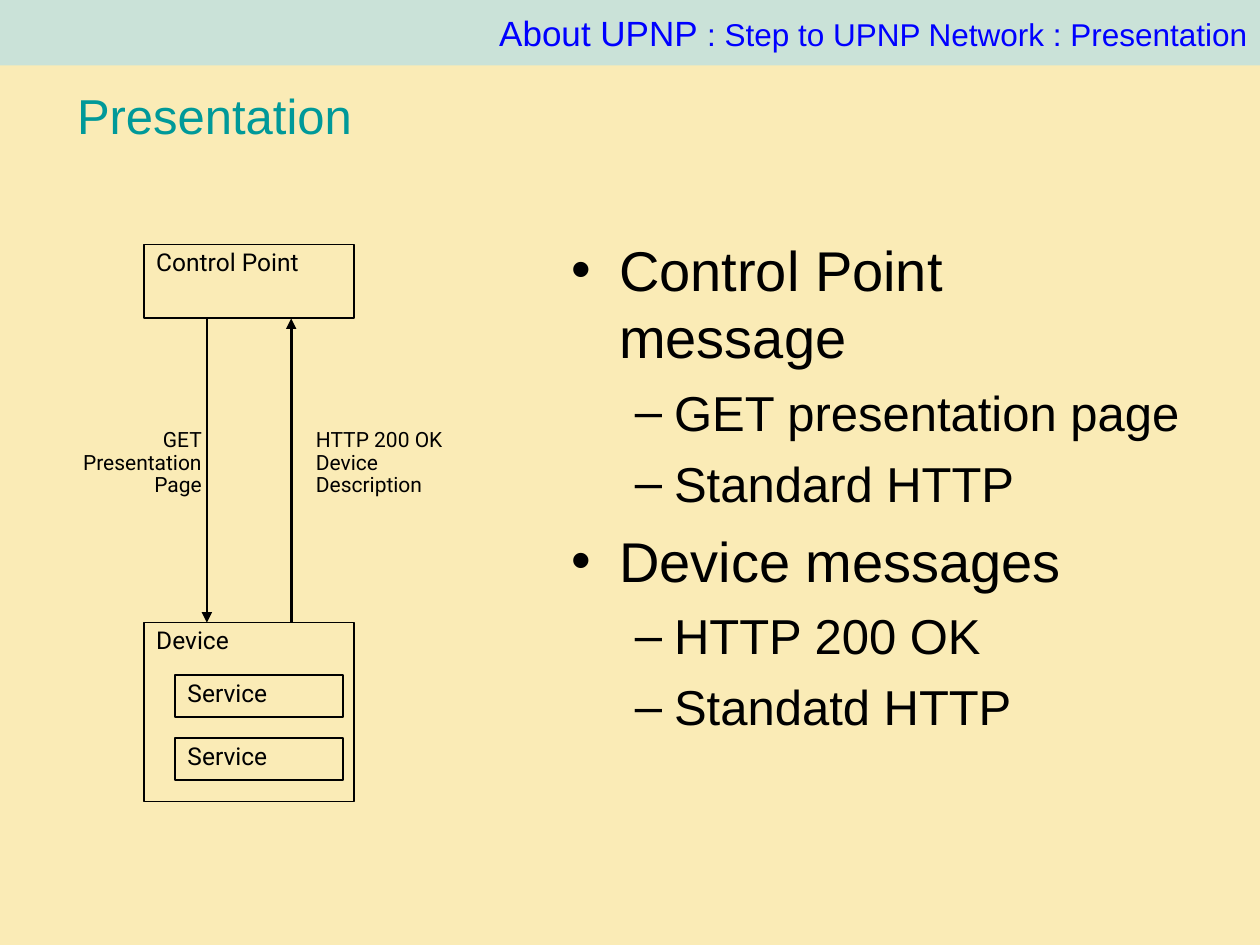
from lxml import etree
from pptx import Presentation
from pptx.dml.color import RGBColor
from pptx.enum.shapes import MSO_CONNECTOR, MSO_SHAPE
from pptx.enum.text import MSO_ANCHOR, MSO_AUTO_SIZE, PP_ALIGN
from pptx.oxml.ns import qn
from pptx.util import Cm, Pt

RECTANGLE = MSO_SHAPE.RECTANGLE
STRAIGHT = MSO_CONNECTOR.STRAIGHT
TOP, MIDDLE = MSO_ANCHOR.TOP, MSO_ANCHOR.MIDDLE
LEFT, RIGHT = PP_ALIGN.LEFT, PP_ALIGN.RIGHT
NO_FIT = MSO_AUTO_SIZE.NONE

CREAM = RGBColor(0xFA, 0xEB, 0xB6)
PALE_BLUE = RGBColor(0xBB, 0xE0, 0xE3)
BLUE = RGBColor(0x00, 0x00, 0xFF)
TEAL = RGBColor(0x00, 0x99, 0x99)
BLACK = RGBColor(0x00, 0x00, 0x00)

# bullet, size, space before, left margin, indent by level
LEVELS = [("•", 32, 8, 0.95, -0.95), ("–", 28, 7, 2.06, -0.79)]
MESSAGES = [
    (0, "Control Point message"),
    (1, "GET presentation page"),
    (1, "Standard HTTP"),
    (0, "Device messages"),
    (1, "HTTP 200 OK"),
    (1, "Standatd HTTP"),
]
BOXES = [
    ("Control Point", 2.9, 4.93, 4.24, 1.48),
    ("Device", 2.9, 12.55, 4.24, 3.61),
    ("Service", 3.53, 13.61, 3.38, 0.84),
    ("Service", 3.53, 14.88, 3.38, 0.84),
]
CONTROL_BOTTOM, DEVICE_TOP = 6.42, 12.55


def style_font(font, name, size, color):
    font.name = name
    font.size = Pt(size)
    font.color.rgb = color


def place(shape, left, top, width, height):
    shape.left, shape.top = Cm(left), Cm(top)
    shape.width, shape.height = Cm(width), Cm(height)


def write_lines(frame, lines, size, align=LEFT):
    frame.text = "\n".join(lines)
    for para in frame.paragraphs:
        para.alignment = align
        para.line_spacing = 0.9
        style_font(para.font, "Roboto", size, BLACK)


def add_header(page):
    banner = page.shapes.add_shape(RECTANGLE, 0, 0, Cm(25.4), Cm(1.32))
    banner.shadow.inherit = False
    banner.fill.solid()
    banner.fill.fore_color.rgb = PALE_BLUE
    color = banner.fill._xPr.find(".//" + qn("a:srgbClr"))
    etree.SubElement(color, qn("a:alpha"), val="76000")
    banner.line.fill.background()
    frame = banner.text_frame
    frame.word_wrap = True
    frame.vertical_anchor = MIDDLE
    para = frame.paragraphs[0]
    para.alignment = RIGHT
    for text, size in (("About UPNP ", 20), (": Step to UPNP Network : Presentation", 18)):
        span = para.add_run()
        span.text = text
        style_font(span.font, "Arial", size, BLUE)


def fill_title(title):
    place(title, 1.3, 1.73, 22.86, 1.19)
    frame = title.text_frame
    frame.text = "Presentation"
    frame.auto_size = NO_FIT
    frame.vertical_anchor = MIDDLE
    para = frame.paragraphs[0]
    para.alignment = LEFT
    style_font(para.font, "Arial", 28, TEAL)


def set_bullet(para, bullet, margin, indent):
    properties = para._p.get_or_add_pPr()
    properties.set("marL", str(Cm(margin)))
    properties.set("indent", str(Cm(indent)))
    color = etree.SubElement(properties, qn("a:buClr"))
    etree.SubElement(color, qn("a:srgbClr"), val=str(BLACK))
    etree.SubElement(properties, qn("a:buFont"), typeface="Arial")
    etree.SubElement(properties, qn("a:buChar"), char=bullet)


def fill_messages(body):
    place(body, 11.3, 4.52, 12.78, 11.94)
    frame = body.text_frame
    frame.text = "\n".join(text for _, text in MESSAGES)
    frame.auto_size = NO_FIT
    frame.vertical_anchor = TOP
    frame.margin_left = frame.margin_right = Cm(0.23)
    frame.margin_top, frame.margin_bottom = Cm(0.23), Cm(0.1)
    for index, (para, (level, _)) in enumerate(zip(frame.paragraphs, MESSAGES)):
        bullet, size, space, margin, indent = LEVELS[level]
        para.level = level
        para.space_before = Pt(space if index else 0)
        set_bullet(para, bullet, margin, indent)
        style_font(para.font, "Arial", size, BLACK)


def add_box(page, text, left, top, width, height):
    box = page.shapes.add_shape(RECTANGLE, Cm(left), Cm(top), Cm(width), Cm(height))
    box.shadow.inherit = False
    box.fill.background()
    box.line.color.rgb = BLACK
    box.line.width = Pt(1)
    box.text_frame.word_wrap = True
    box.text_frame.vertical_anchor = TOP
    write_lines(box.text_frame, [text], 14)


def add_label(page, lines, left, width, align):
    label = page.shapes.add_textbox(Cm(left), Cm(8.53), Cm(width), Cm(1.63))
    label.text_frame.word_wrap = False
    write_lines(label.text_frame, lines, 12, align)


def add_arrow(page, x, start, end):
    arrow = page.shapes.add_connector(STRAIGHT, Cm(x), Cm(start), Cm(x), Cm(end))
    arrow.line.color.rgb = BLACK
    arrow.line.width = Pt(1.5)
    etree.SubElement(arrow.line._get_or_add_ln(), qn("a:tailEnd"), type="triangle")
    etree.SubElement(arrow._element.spPr, qn("a:effectLst"))


def main():
    deck = Presentation()
    deck.slide_width, deck.slide_height = Cm(25.4), Cm(19.05)
    page = deck.slides.add_slide(deck.slide_layouts[1])
    page.background.fill.solid()
    page.background.fill.fore_color.rgb = CREAM
    fill_title(page.shapes.title)
    fill_messages(page.placeholders[1])
    add_header(page)
    for box in BOXES:
        add_box(page, *box)
    add_label(page, ["GET", "Presentation", "Page"], 1.27, 3.05, RIGHT)
    add_label(page, ["HTTP 200 OK", "Device", "Description"], 6.12, 3.07, LEFT)
    add_arrow(page, 4.17, CONTROL_BOTTOM, DEVICE_TOP)
    add_arrow(page, 5.87, DEVICE_TOP, CONTROL_BOTTOM)
    deck.save("out.pptx")


if __name__ == "__main__":
    main()
